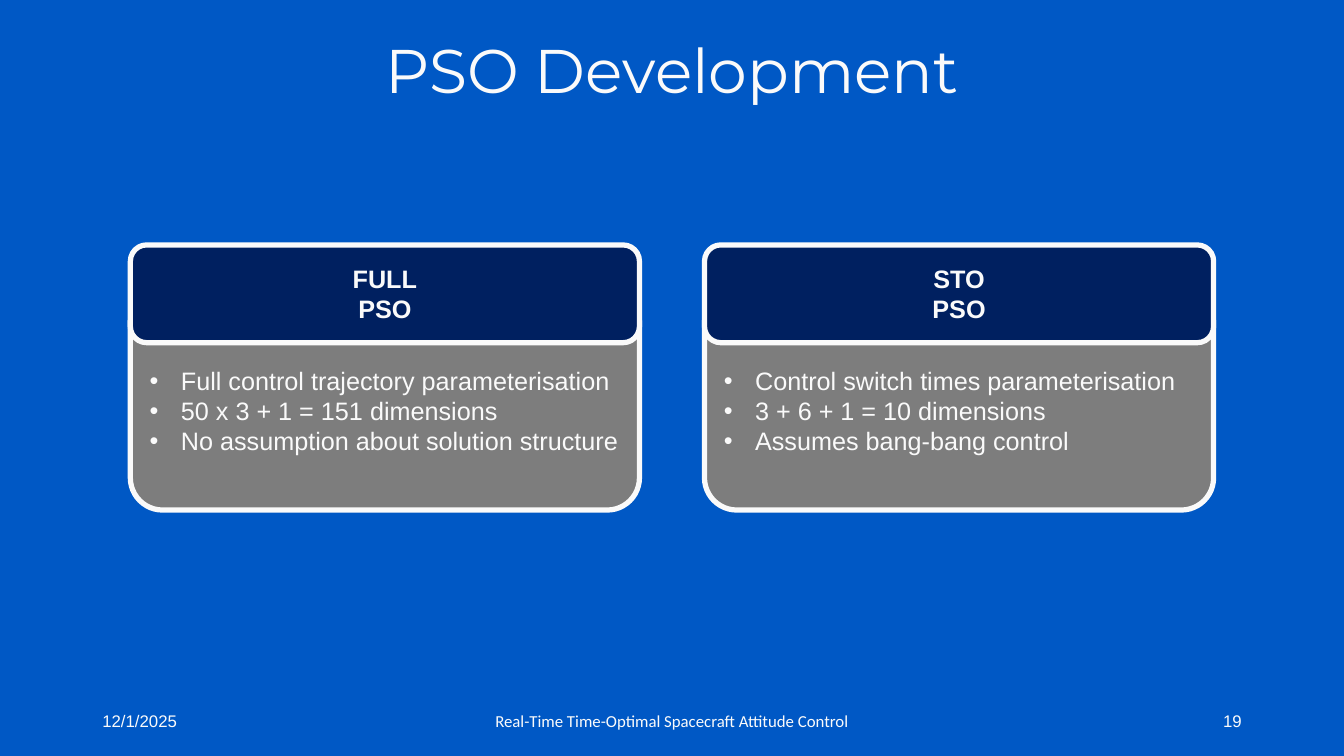
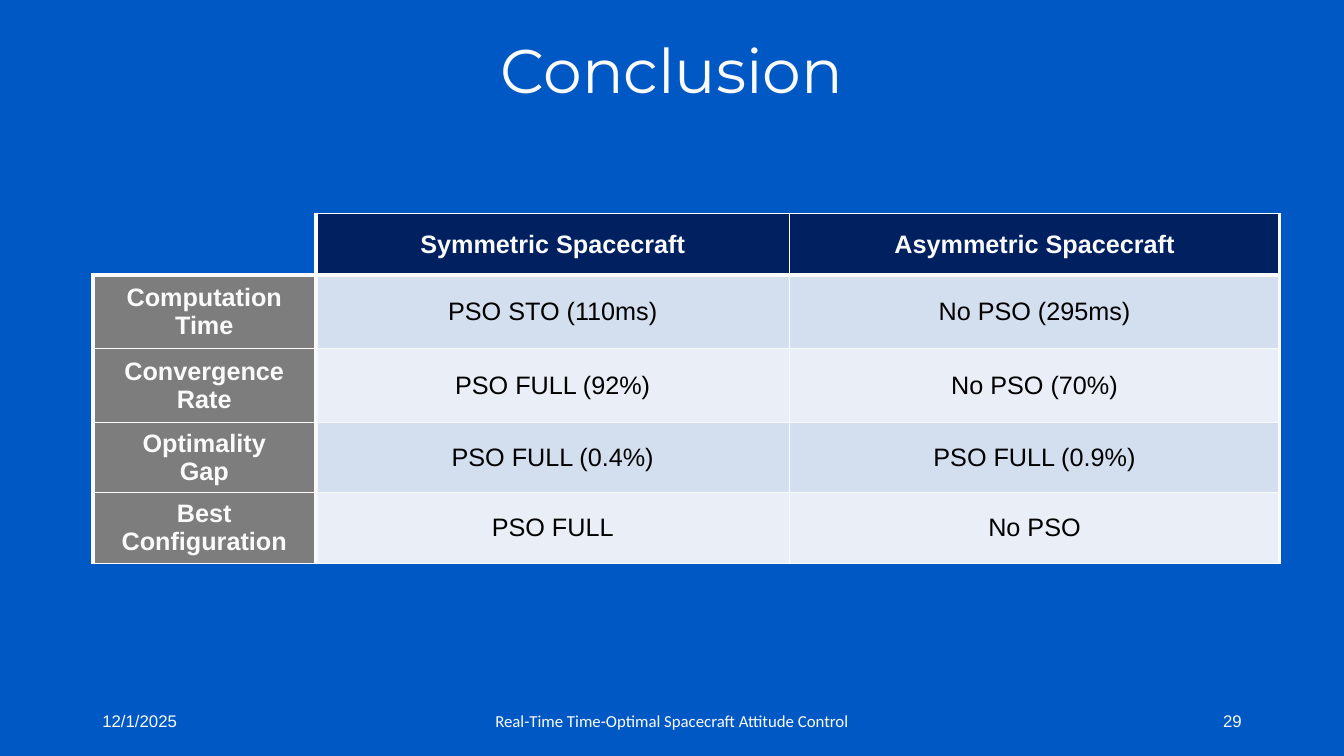
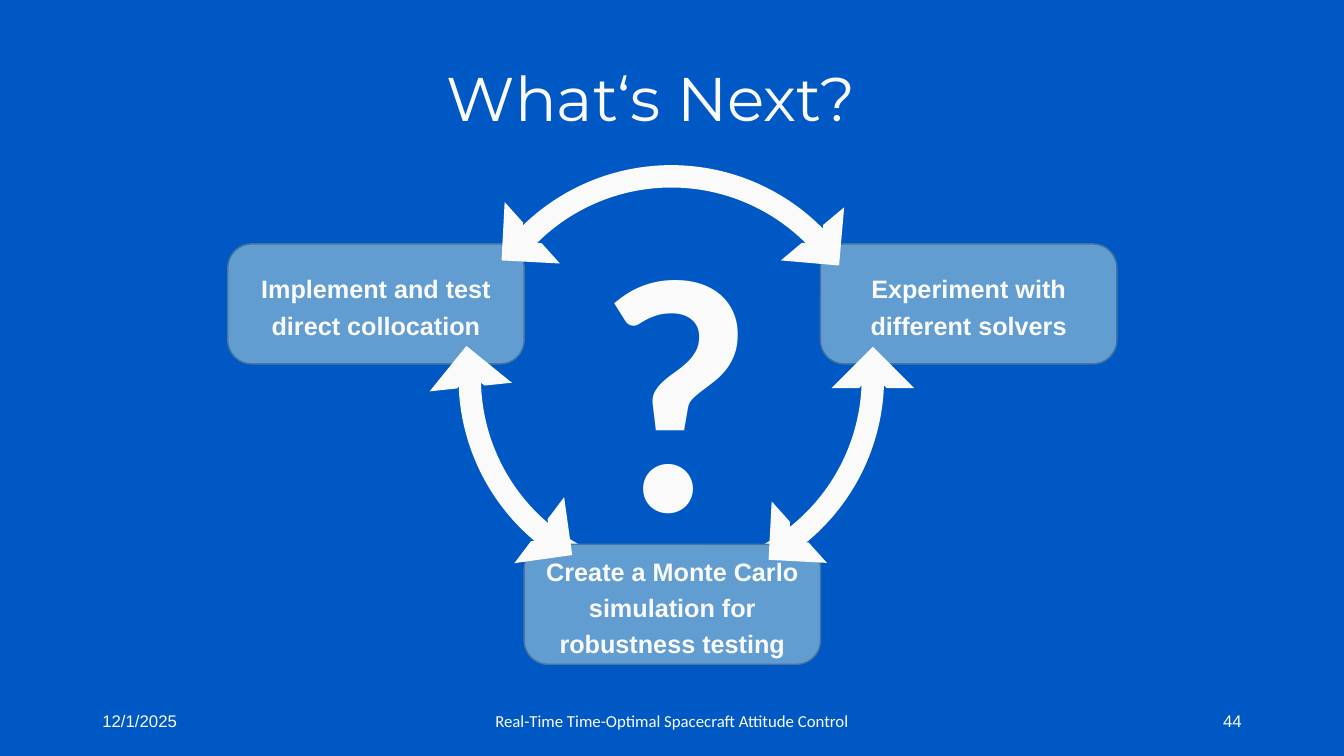
from lxml.etree import SubElement
from pptx import Presentation
from pptx.dml.color import RGBColor
from pptx.enum.shapes import MSO_SHAPE as Preset
from pptx.enum.text import MSO_ANCHOR as Anchor, PP_ALIGN as Align
from pptx.oxml.ns import qn
from pptx.util import Inches, Pt

COLOURS = {
    "background": "0058C5", "white": "FAFAFA", "footer": "FBFBFB", "navy": "002060",
    "grey": "7D7D7D", "step": "629DD1", "step edge": "49749B", "black": "000000",
    "odd row": "D3DFEE", "even row": "EAEFF7",
}

deck = Presentation()
deck.slide_width, deck.slide_height = Inches(13.33), Inches(7.5)
# One percent of the slide's width and height: the unit of every position.
across, down = deck.slide_width / 100, deck.slide_height / 100


def draw(page, preset, area, fill=None, line=None, weight=1):
    """Add a preset shape, or a text box when preset is None; area is in percent."""
    left, top, width, height = area
    place = [round(n) for n in (left * across, top * down, width * across, height * down)]
    if preset is None:
        return page.shapes.add_textbox(*place)
    shape = page.shapes.add_shape(preset, *place)
    shape.shadow.inherit = False
    if fill:
        shape.fill.solid()
        shape.fill.fore_color.rgb = RGBColor.from_string(COLOURS[fill])
    else:
        shape.fill.background()
    if line:
        shape.line.color.rgb = RGBColor.from_string(COLOURS[line])
        shape.line.width = Pt(weight)
    else:
        shape.line.fill.background()
    return shape


def write(frame, text, size=18, font="Arial", colour="white", bold=False,
          align=Align.CENTER, spacing=1.0, wrap=True):
    frame.text = text
    frame.word_wrap = wrap
    frame.vertical_anchor = Anchor.MIDDLE
    for para in frame.paragraphs:
        para.alignment = align
        para.line_spacing = spacing
        for span in para.runs:
            span.font.size = Pt(size)
            span.font.name = font
            span.font.bold = bold
            span.font.color.rgb = RGBColor.from_string(COLOURS[colour])


# Shared by all slides: background, title and footer
backdrop = deck.slide_master.background.fill
backdrop.solid()
backdrop.fore_color.rgb = RGBColor.from_string(COLOURS["background"])

pages = []
for heading, number, title_left, title_top in [
    ("PSO Development", "19", 6.88, 0),
    ("Conclusion", "29", 6.88, 0),
    ("What‘s Next?", "44", 5.33, 3.73),
]:
    page = deck.slides.add_slide(deck.slide_layouts[5])
    pages.append(page)
    title = page.shapes.title
    title.left, title.top = round(title_left * across), round(title_top * down)
    title.width, title.height = round(86.25 * across), round(19.33 * down)
    write(title.text_frame, heading, 44, "Montserrat", spacing=0.9)
    for text, left, width, font, align in [
        ("12/1/2025", 6.88, 22.5, "Arial", Align.LEFT),
        (number, 70.63, 22.5, "Arial", Align.RIGHT),
        ("Real-Time Time-Optimal Spacecraft Attitude Control", 33.13, 33.75,
         "Calibri", Align.CENTER),
    ]:
        box = draw(page, None, (left, 92.67, width, 5.33))
        write(box.text_frame, text, 12, font, "footer", align=align)

development, conclusion, outlook = pages

# PSO Development: two cards, each a bulleted body under a header
for left, header_text, points in [
    (9.7, "FULL\vPSO", ["Full control trajectory parameterisation",
                        "50 x 3 + 1 = 151 dimensions",
                        "No assumption about solution structure"]),
    (52.42, "STO\vPSO", ["Control switch times parameterisation",
                         "3 + 6 + 1 = 10 dimensions",
                         "Assumes bang-bang control"]),
]:
    body = draw(development, Preset.ROUND_2_SAME_RECTANGLE, (left, 42.4, 37.88, 25.07),
                "grey", "white", 3.75)
    body.adjustments[0], body.adjustments[1] = 0, 0.17
    write(body.text_frame, "\n".join(points), align=Align.LEFT)
    for para in body.text_frame.paragraphs:
        properties = para._p.get_or_add_pPr()
        properties.set("marL", str(Inches(0.31)))
        properties.set("indent", str(-Inches(0.31)))
        SubElement(properties, qn("a:buFont"), typeface="Arial")
        SubElement(properties, qn("a:buChar"), char="•")
    header = draw(development, Preset.ROUNDED_RECTANGLE, (left, 32.4, 37.88, 12.93),
                  "navy", "white", 3.75)
    write(header.text_frame, header_text, bold=True)

# Conclusion: results table
results = [
    ["", "Symmetric Spacecraft", "Asymmetric Spacecraft"],
    ["Computation Time", "PSO STO (110ms)", "No PSO (295ms)"],
    ["Convergence Rate", "PSO FULL (92%)", "No PSO (70%)"],
    ["Optimality\vGap", "PSO FULL (0.4%)", "PSO FULL (0.9%)"],
    ["Best Configuration", "PSO FULL", "No PSO"],
]
column_widths = [16.6, 35.25, 36.45]
row_heights = [8.13, 9.73, 9.73, 8.13, 8.13]
column_edges = [3, 3, 1, 3]
row_edges = [1, 3, 1, 1, 1, 1]
table = conclusion.shapes.add_table(
    len(results), len(column_widths), round(6.9 * across), round(28.27 * down),
    round(sum(column_widths) * across), round(sum(row_heights) * down)).table
for column, width in zip(table.columns, column_widths):
    column.width = round(width * across)
for row, height in zip(table.rows, row_heights):
    row.height = round(height * down)

for r, texts in enumerate(results):
    for c, text in enumerate(texts):
        cell = table.cell(r, c)
        corner = r == 0 and c == 0
        heading = r == 0 or c == 0
        borders = {"lnL": column_edges[c], "lnR": column_edges[c + 1],
                   "lnT": row_edges[r], "lnB": row_edges[r + 1]}
        for side, weight in borders.items():
            edge = SubElement(cell._tc.get_or_add_tcPr(), qn(f"a:{side}"), w=str(Pt(weight)))
            if corner and side in ("lnL", "lnT"):
                SubElement(edge, qn("a:noFill"))
            else:
                paint = SubElement(edge, qn("a:solidFill"))
                SubElement(paint, qn("a:srgbClr"), val=COLOURS["white"])
        if corner:
            cell.fill.background()
            continue
        if r == 0:
            fill = "navy"
        elif c == 0:
            fill = "grey"
        else:
            fill = "odd row" if r % 2 else "even row"
        cell.fill.solid()
        cell.fill.fore_color.rgb = RGBColor.from_string(COLOURS[fill])
        write(cell.text_frame, text, colour="white" if heading else "black", bold=heading)
        cell.vertical_anchor = Anchor.MIDDLE

# What's Next: three steps on a ring around a question mark
draw(outlook, Preset.OVAL, (34.95, 23.33, 30, 53.33), line="white", weight=16)

step_width = 22.05
for column, top, text in [
    (0, 32.27, "Implement and test direct collocation"),
    (2, 32.27, "Experiment with different solvers"),
    (1, 72, "Create a Monte Carlo simulation for robustness testing"),
]:
    step = draw(outlook, Preset.ROUNDED_RECTANGLE,
                (16.95 + column * step_width, top, step_width, 15.87), "step", "step edge")
    step.adjustments[0] = 0.2
    frame = step.text_frame
    frame.margin_left = frame.margin_right = frame.margin_top = frame.margin_bottom = 0
    write(frame, text, bold=True, spacing=1.2)

question = draw(outlook, None, (43.8, 22.53, 12.38, 54.93))
write(question.text_frame, "?", 239, "Calibri", bold=True, wrap=False)

for left, top, angle in [
    (32.85, 47.33, 39), (37.95, 66.27, 172), (58.28, 27.07, 185),
    (62.78, 47.47, 45), (57.3, 66.53, 273), (37.43, 26.93, 273),
]:
    arrowhead = draw(outlook, Preset.HALF_FRAME, (left, top, 4.35, 7.73), "white")
    arrowhead.rotation = angle

deck.save("out.pptx")
